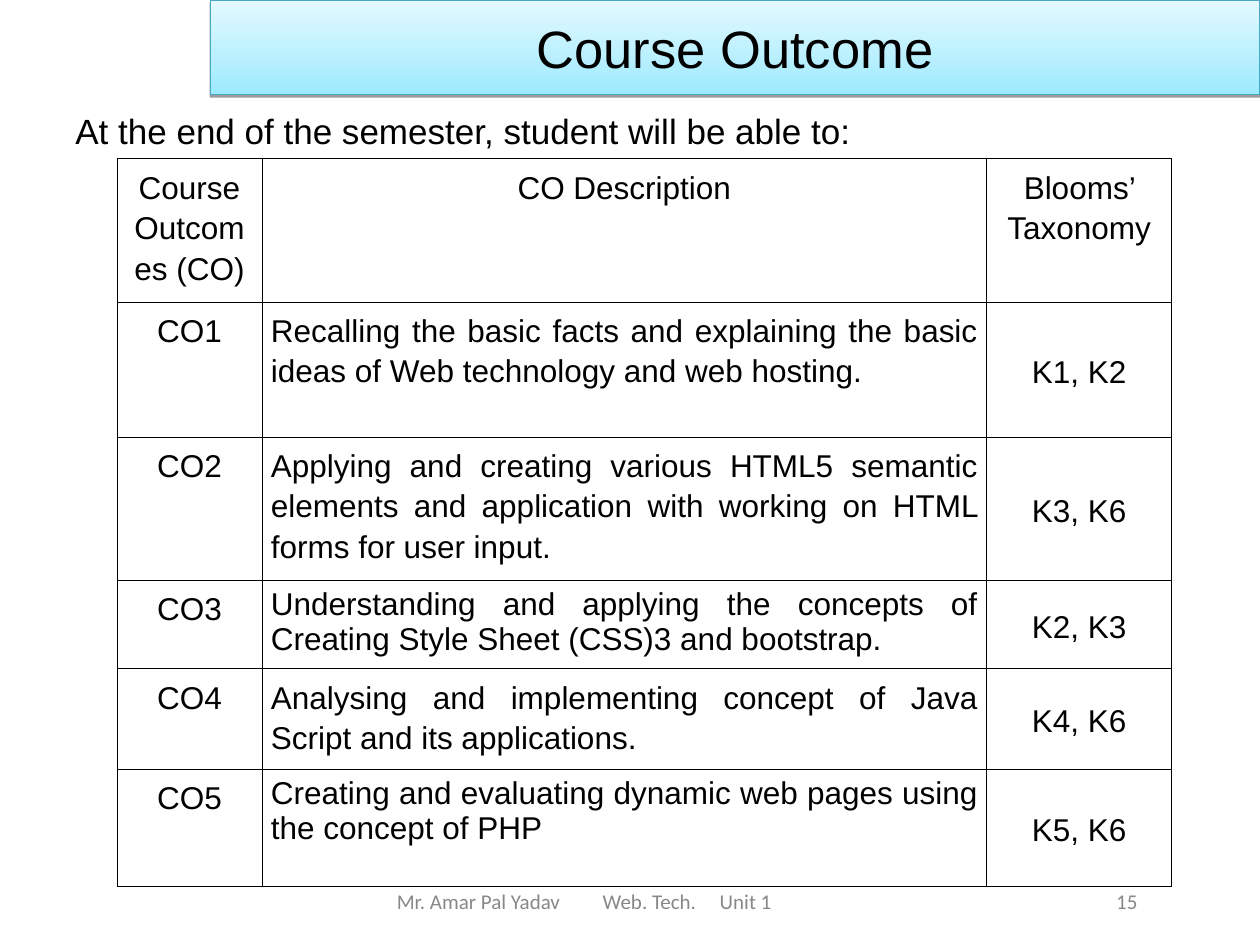
from dataclasses import dataclass

from lxml.etree import SubElement
from pptx import Presentation
from pptx.dml.color import RGBColor
from pptx.enum.text import MSO_ANCHOR, MSO_AUTO_SIZE, PP_ALIGN
from pptx.oxml import parse_xml
from pptx.oxml.ns import nsdecls, qn
from pptx.util import Cm, Pt

BLACK, GREY = "000000", "888888"
COLUMN_WIDTHS = (2.92, 14.61, 3.73)
HEADINGS = ("Course Outcomes (CO)", "CO Description", "Blooms’ Taxonomy")
HEADING_HEIGHT = 2.62


@dataclass
class Outcome:
    description: str
    levels: str
    height: float
    spacing: float = 1.15


@dataclass
class Label:
    text: str
    box: tuple[float, float, float, float]
    size: float
    font: str
    color: str
    align: PP_ALIGN = PP_ALIGN.LEFT
    tabs: tuple[float, ...] = ()


OUTCOMES = [
    Outcome("Recalling the basic facts and explaining the basic ideas of Web "
            "technology and web hosting.", "K1, K2", 2.72),
    Outcome("Applying and creating various HTML5 semantic elements and application "
            "with working on HTML forms for user input.", "K3, K6", 2.72),
    Outcome("Understanding and applying the concepts of Creating Style Sheet (CSS)3 "
            "and bootstrap.", "K2, K3", 1.78, 1.0),
    Outcome("Analysing and implementing concept of Java Script and its applications.",
            "K4, K6", 2.03),
    Outcome("Creating and evaluating dynamic web pages using the concept of PHP",
            "K5, K6", 2.36, 1.0),
]

LABELS = [
    Label("Mr. Amar Pal Yadav\tWeb. Tech.\tUnit 1", (7.75, 17.65, 19.25, 1.02),
          12, "Calibri", GREY, tabs=(4.15, 6.51)),
    Label("15", (18.69, 17.65, 8.05, 1.02), 12, "Calibri", GREY, PP_ALIGN.CENTER),
    Label("At the end of the semester, student will be able to:",
          (1.27, 2.08, 24.13, 1.12), 20, "Arial", BLACK),
]


def rgb(color: str) -> RGBColor:
    return RGBColor.from_string(color)


def format_text(p, size: float, font: str, color: str, align: PP_ALIGN) -> None:
    p.alignment = align
    for r in p.runs:
        r.font.size, r.font.name = Pt(size), font
        r.font.color.rgb = rgb(color)


def add_label(s, label: Label) -> None:
    tf = s.shapes.add_textbox(*map(Cm, label.box)).text_frame
    tf.word_wrap = True
    tf.vertical_anchor = MSO_ANCHOR.MIDDLE
    p = tf.paragraphs[0]
    p.text = label.text
    if label.tabs:
        tab_list = SubElement(p._p.get_or_add_pPr(), qn("a:tabLst"))
        for position in label.tabs:
            SubElement(tab_list, qn("a:tab"), pos=str(Cm(position)), algn="l")
    format_text(p, label.size, label.font, label.color, label.align)


def format_title(sp) -> None:
    sp.left, sp.top, sp.width, sp.height = map(Cm, (4.24, 0, 21.16, 1.9))
    sp.fill.gradient()
    sp.fill.gradient_angle = 90
    for stop, color in zip(sp.fill.gradient_stops, ("9EEAFF", "E4F9FF")):
        stop.color.rgb = rgb(color)
    sp.line.color.rgb = rgb("46AAC5")
    sp.line.width = Pt(0.75)
    sp._element.spPr.append(parse_xml(
        f'<a:effectLst {nsdecls("a")}><a:outerShdw dist="{Pt(1.6)}" dir="5400000" '
        'rotWithShape="0"><a:srgbClr val="000000"><a:alpha val="38000"/></a:srgbClr>'
        "</a:outerShdw></a:effectLst>"))
    tf = sp.text_frame
    tf.text = "Course Outcome"
    tf.auto_size = MSO_AUTO_SIZE.NONE
    tf.vertical_anchor = MSO_ANCHOR.MIDDLE
    format_text(tf.paragraphs[0], 30, "Arial", BLACK, PP_ALIGN.CENTER)


def fill_cell(cell, text: str, align: PP_ALIGN = PP_ALIGN.CENTER,
              spacing: float = 1.15, anchor: MSO_ANCHOR = MSO_ANCHOR.TOP) -> None:
    cell.text = text
    cell.vertical_anchor = anchor
    cell.margin_left = cell.margin_right = Cm(0.18)
    cell.margin_top = cell.margin_bottom = Cm(0.13)
    p = cell.text_frame.paragraphs[0]
    p.line_spacing = spacing
    format_text(p, 18, "Arial", BLACK, align)
    cell.fill.background()
    # Borders come before the fill in the cell properties
    for i, side in enumerate(("lnL", "lnR", "lnT", "lnB")):
        cell._tc.tcPr.insert(i, parse_xml(
            f'<a:{side} {nsdecls("a")} w="{Pt(0.45)}"><a:solidFill>'
            f'<a:srgbClr val="{BLACK}"/></a:solidFill></a:{side}>'))


def add_outcome_table(s, outcomes: list[Outcome]) -> None:
    heights = [HEADING_HEIGHT] + [o.height for o in outcomes]
    table = s.shapes.add_table(
        len(heights), len(COLUMN_WIDTHS), Cm(2.36), Cm(3.2),
        Cm(sum(COLUMN_WIDTHS)), Cm(sum(heights))).table
    table.first_row = table.horz_banding = False
    for column, width in zip(table.columns, COLUMN_WIDTHS):
        column.width = Cm(width)
    for row, height in zip(table.rows, heights):
        row.height = Cm(height)
    for i, heading in enumerate(HEADINGS):
        fill_cell(table.cell(0, i), heading)
    for n, outcome in enumerate(outcomes, 1):
        fill_cell(table.cell(n, 0), f"CO{n}")
        fill_cell(table.cell(n, 1), outcome.description, PP_ALIGN.JUSTIFY,
                  outcome.spacing)
        fill_cell(table.cell(n, 2), outcome.levels, anchor=MSO_ANCHOR.MIDDLE)


def main() -> None:
    prs = Presentation()
    prs.slide_width, prs.slide_height = Cm(25.4), Cm(19.05)
    s = prs.slides.add_slide(prs.slide_layouts[5])  # title only

    # Title banner
    format_title(s.shapes.title)

    # Footer, page number and lead-in
    for label in LABELS:
        add_label(s, label)

    # Course outcomes
    add_outcome_table(s, OUTCOMES)

    prs.save("out.pptx")


if __name__ == "__main__":
    main()
